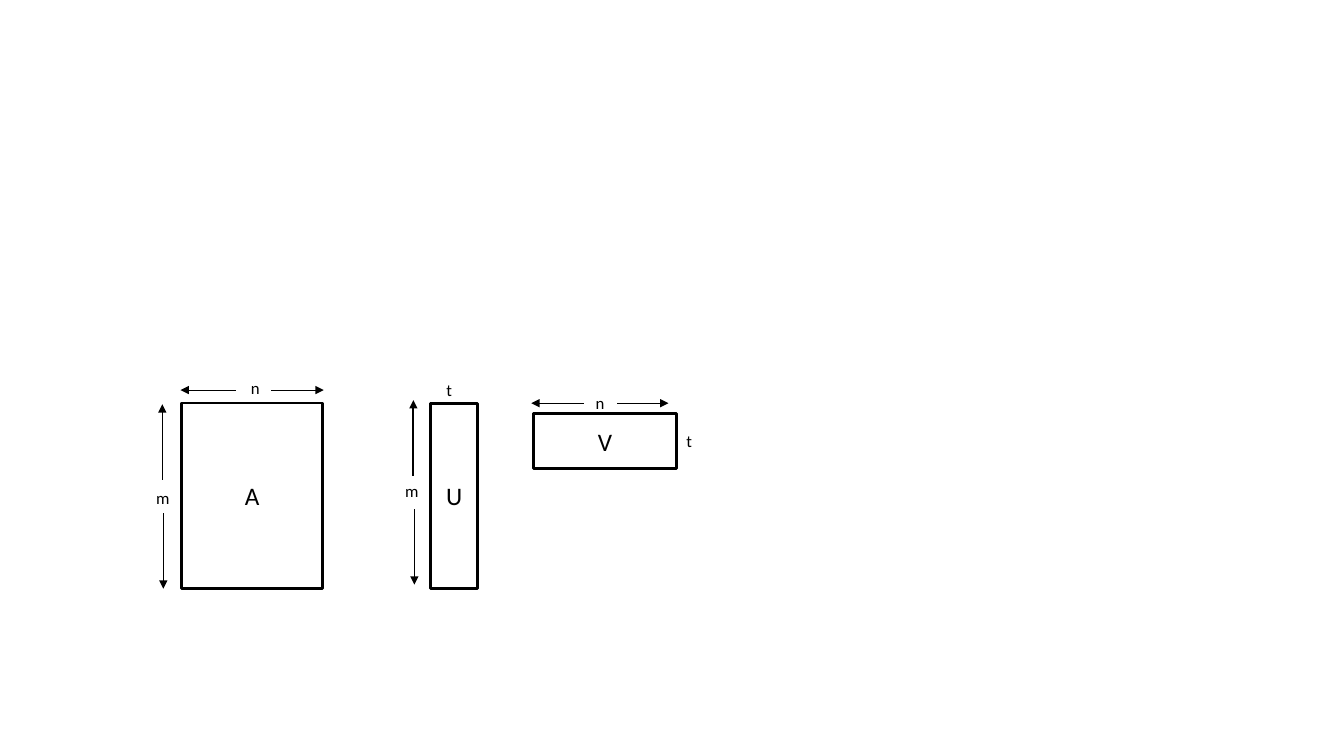
from dataclasses import dataclass

from lxml.etree import SubElement
from pptx import Presentation
from pptx.dml.color import RGBColor
from pptx.enum.shapes import MSO_CONNECTOR, MSO_SHAPE
from pptx.enum.text import MSO_ANCHOR, MSO_AUTO_SIZE, PP_ALIGN
from pptx.oxml.ns import qn
from pptx.slide import Slide
from pptx.text.text import TextFrame
from pptx.util import Inches, Length, Pt

BLACK = "000000"
WHITE = "FFFFFF"
FONT = "Calibri"
LABEL_ROWS = 3
LABEL_COLUMNS = {"n": 2.9, "m": 3.4, "t": 2.6}


@dataclass(frozen=True)
class Matrix:
    name: str
    column: float
    row: float
    columns: float
    rows: float
    outline: float = 2


@dataclass(frozen=True)
class Dimension:
    letter: str
    column: float
    row: float


@dataclass(frozen=True)
class Arrow:
    start: tuple[float, float]
    tip: tuple[float, float]
    weight: float = 0.5


MATRICES = [
    Matrix("A", 18, 40, 14, 18.4, outline=1.75),
    Matrix("U", 42.7, 40, 4.7, 18.4),
    Matrix("V", 52.9, 41, 14.2, 5.5),
]
DIMENSIONS = [
    Dimension("n", 23.9, 37),
    Dimension("m", 14.5, 47.9),
    Dimension("t", 43.3, 37.2),
    Dimension("m", 39.2, 47.2),
    Dimension("n", 58.1, 38.5),
    Dimension("t", 67.1, 42.2),
]
ARROWS = [
    Arrow((23.4, 38.7), (17.9, 38.7)),
    Arrow((26.9, 38.7), (32.1, 38.7)),
    Arrow((16.1, 47.6), (16.1, 40.1)),
    Arrow((16.2, 50.9), (16.2, 58.4)),
    Arrow((41, 47.2), (41, 39.7), weight=1.5),
    Arrow((41.1, 50.5), (41.1, 58)),
    Arrow((57.9, 40), (52.7, 40)),
    Arrow((61.2, 40), (66.3, 40)),
]


def grid(cells: float) -> Length:
    """Turn columns or rows of a tenth of an inch into a length."""
    return Inches(cells / 10)


def color(code: str) -> RGBColor:
    """Turn a hex string into a colour."""
    return RGBColor.from_string(code)


def write(frame: TextFrame, text: str, *, size: float, align: PP_ALIGN = PP_ALIGN.LEFT) -> None:
    """Put formatted text into a frame."""
    paragraph = frame.paragraphs[0]
    paragraph.alignment = align
    run = paragraph.add_run()
    run.text = text
    run.font.name = FONT
    run.font.size = Pt(size)
    run.font.color.rgb = color(BLACK)


def draw_matrix(slide: Slide, matrix: Matrix) -> None:
    """Draw a matrix as a named rectangle."""
    block = slide.shapes.add_shape(
        MSO_SHAPE.RECTANGLE,
        grid(matrix.column), grid(matrix.row), grid(matrix.columns), grid(matrix.rows),
    )
    block.shadow.inherit = False
    block.fill.solid()
    block.fill.fore_color.rgb = color(WHITE)
    block.line.color.rgb = color(BLACK)
    block.line.width = Pt(matrix.outline)
    block.text_frame.vertical_anchor = MSO_ANCHOR.MIDDLE
    write(block.text_frame, matrix.name, size=18, align=PP_ALIGN.CENTER)


def draw_dimension(slide: Slide, dimension: Dimension) -> None:
    """Draw the letter of a matrix dimension."""
    label = slide.shapes.add_textbox(
        grid(dimension.column), grid(dimension.row),
        grid(LABEL_COLUMNS[dimension.letter]), grid(LABEL_ROWS),
    )
    label.text_frame.word_wrap = False
    label.text_frame.auto_size = MSO_AUTO_SIZE.SHAPE_TO_FIT_TEXT
    write(label.text_frame, dimension.letter, size=12)


def draw_arrow(slide: Slide, arrow: Arrow) -> None:
    """Draw a line with a triangle at its tip."""
    ends = [grid(cells) for cells in (*arrow.start, *arrow.tip)]
    extent = slide.shapes.add_connector(MSO_CONNECTOR.STRAIGHT, *ends)
    extent.line.color.rgb = color(BLACK)
    extent.line.width = Pt(arrow.weight)
    properties = extent.element.spPr
    SubElement(properties.find(qn("a:ln")), qn("a:tailEnd"), type="triangle")
    SubElement(properties, qn("a:effectLst"))


def main() -> None:
    """Build and save the slide."""
    deck = Presentation()
    deck.slide_width = Inches(13.33)
    deck.slide_height = Inches(7.5)
    slide = deck.slides.add_slide(deck.slide_layouts[6])
    for matrix in MATRICES:
        draw_matrix(slide, matrix)
    for arrow in ARROWS:
        draw_arrow(slide, arrow)
    for dimension in DIMENSIONS:
        draw_dimension(slide, dimension)
    deck.save("out.pptx")


if __name__ == "__main__":
    main()
